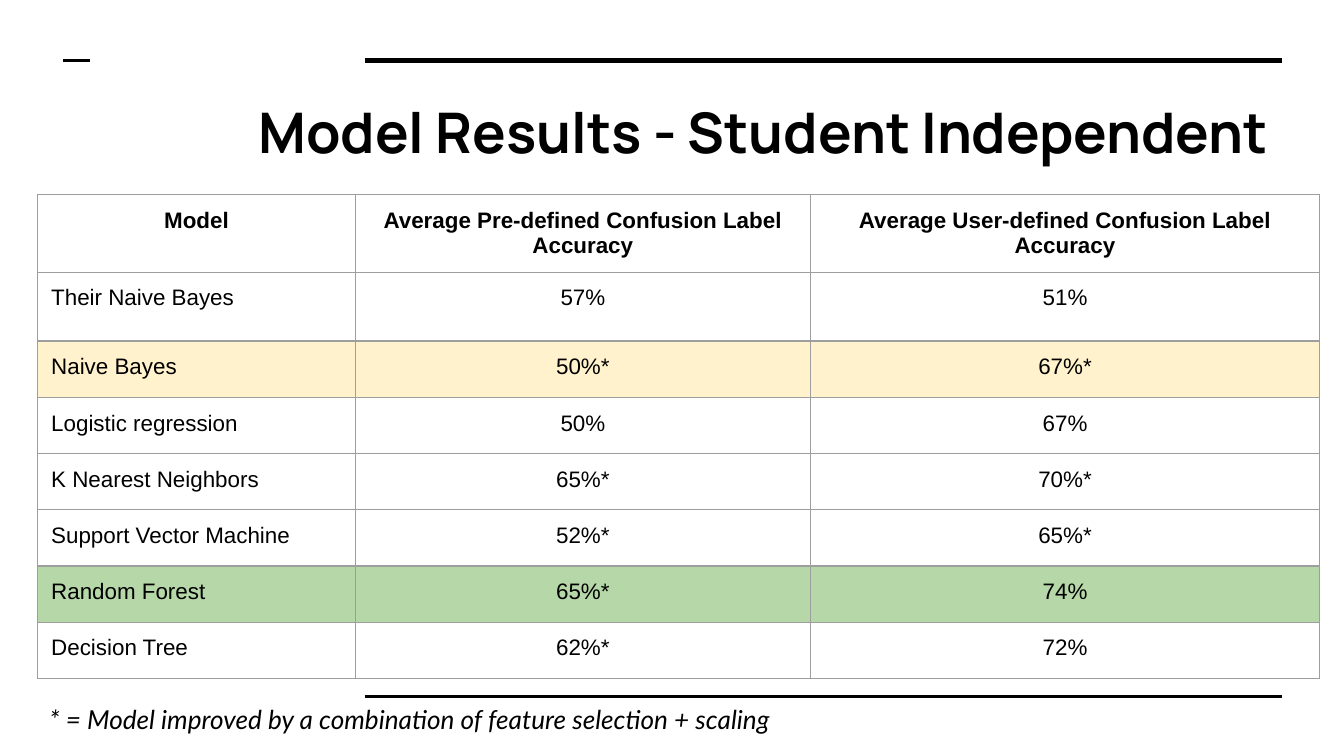
"""Build the slide that compares model accuracy for the student independent setting."""
from dataclasses import dataclass

from lxml import etree
from pptx import Presentation
from pptx import util as u
from pptx.dml.color import RGBColor
from pptx.enum import shapes, text
from pptx.oxml import ns

PX = 5715


@dataclass(frozen=True)
class Theme:
    ink: str = "000000"
    paper: str = "FFFFFF"
    grid: str = "9E9E9E"
    amber: str = "FFF2CC"
    green: str = "B6D7A8"
    title_font: str = "Manrope"
    table_font: str = "Arial"
    note_font: str = "Lato"
    title_size: int = 30
    table_size: int = 12
    note_size: int = 14
    inset: int = 16
    border: float = 0.75


def px(*lengths):
    return [u.Emu(length * PX) for length in lengths]


class SlideBuilder:
    def __init__(self, deck, theme):
        self.theme = theme
        self.slide = deck.slides.add_slide(deck.slide_layouts[5])
        fill = self.slide.background.fill
        fill.solid()
        fill.fore_color.rgb = RGBColor.from_string(theme.paper)

    def set_insets(self, target):
        (inset,) = px(self.theme.inset)
        target.margin_left = target.margin_right = inset
        target.margin_top = target.margin_bottom = inset

    def set_words(self, frame, words, font, size, align, bold=False, italic=False):
        frame.text = words
        for para in frame.paragraphs:
            para.alignment = align
            for span in para.runs:
                span.font.name = font
                span.font.size = u.Pt(size)
                span.font.bold = bold
                span.font.italic = italic
                span.font.color.rgb = RGBColor.from_string(self.theme.ink)

    def rule(self, left, right, y, weight):
        line = self.slide.shapes.add_connector(
            shapes.MSO_CONNECTOR.STRAIGHT, *px(left, y, right, y))
        line.line.color.rgb = RGBColor.from_string(self.theme.ink)
        line.line.width = u.Pt(weight)
        etree.SubElement(line._element.spPr, ns.qn("a:effectLst"))

    def title(self, words, *place):
        box = self.slide.shapes.title
        box.left, box.top, box.width, box.height = px(*place)
        frame = box.text_frame
        self.set_insets(frame)
        frame.word_wrap = True
        frame.auto_size = text.MSO_AUTO_SIZE.NONE
        frame.vertical_anchor = text.MSO_ANCHOR.MIDDLE
        self.set_words(frame, words, self.theme.title_font, self.theme.title_size,
                       text.PP_ALIGN.RIGHT, bold=True)

    def note(self, words, *place):
        frame = self.slide.shapes.add_textbox(*px(*place)).text_frame
        self.set_insets(frame)
        frame.word_wrap = True
        frame.auto_size = text.MSO_AUTO_SIZE.SHAPE_TO_FIT_TEXT
        self.set_words(frame, words, self.theme.note_font, self.theme.note_size,
                       text.PP_ALIGN.LEFT, italic=True)

    def outline(self, cell):
        properties = cell._tc.get_or_add_tcPr()
        for index, side in enumerate(("lnL", "lnR", "lnT", "lnB")):
            edge = etree.Element(ns.qn(f"a:{side}"), w=str(u.Pt(self.theme.border)))
            fill = etree.SubElement(edge, ns.qn("a:solidFill"))
            etree.SubElement(fill, ns.qn("a:srgbClr"), val=self.theme.grid)
            properties.insert(index, edge)

    def table(self, rows, left, top, widths, heights, highlights):
        table = self.slide.shapes.add_table(
            len(rows), len(widths),
            *px(left, top, sum(widths), sum(heights))).table
        table.horz_banding = False
        for column, width in zip(table.columns, px(*widths)):
            column.width = width
        for row, height in zip(table.rows, px(*heights)):
            row.height = height
        for r, values in enumerate(rows):
            for c, words in enumerate(values):
                cell = table.cell(r, c)
                self.set_insets(cell)
                centred = r == 0 or c > 0
                align = text.PP_ALIGN.CENTER if centred else text.PP_ALIGN.LEFT
                self.set_words(cell.text_frame, words, self.theme.table_font,
                               self.theme.table_size, align, bold=r == 0)
                if values[0] in highlights:
                    cell.fill.solid()
                    cell.fill.fore_color.rgb = RGBColor.from_string(highlights[values[0]])
                else:
                    cell.fill.background()
                self.outline(cell)


RESULTS = [
    ("Model", "Average Pre-defined Confusion Label Accuracy",
     "Average User-defined Confusion Label Accuracy"),
    ("Their Naive Bayes", "57%", "51%"),
    ("Naive Bayes", "50%*", "67%*"),
    ("Logistic regression", "50%", "67%"),
    ("K Nearest Neighbors", "65%*", "70%*"),
    ("Support Vector Machine", "52%*", "65%*"),
    ("Random Forest", "65%*", "74%"),
    ("Decision Tree", "62%*", "72%"),
]


def main():
    deck = Presentation()
    deck.slide_width, deck.slide_height = px(1600, 900)
    theme = Theme()
    page = SlideBuilder(deck, theme)
    page.rule(434, 1526, 72, 3)
    page.rule(434, 1526, 829, 1.5)
    page.rule(75, 107, 72, 1.5)
    page.title("Model Results - Student Independent", 208, 101, 1318, 110)
    page.table(RESULTS, 45, 232, (378, 542, 606), [92, 82] + [67] * 6,
               {"Naive Bayes": theme.amber, "Random Forest": theme.green})
    page.note("* = Model improved by a combination of feature selection + scaling",
              43, 821, 1022, 70)
    deck.save("out.pptx")


if __name__ == "__main__":
    main()
